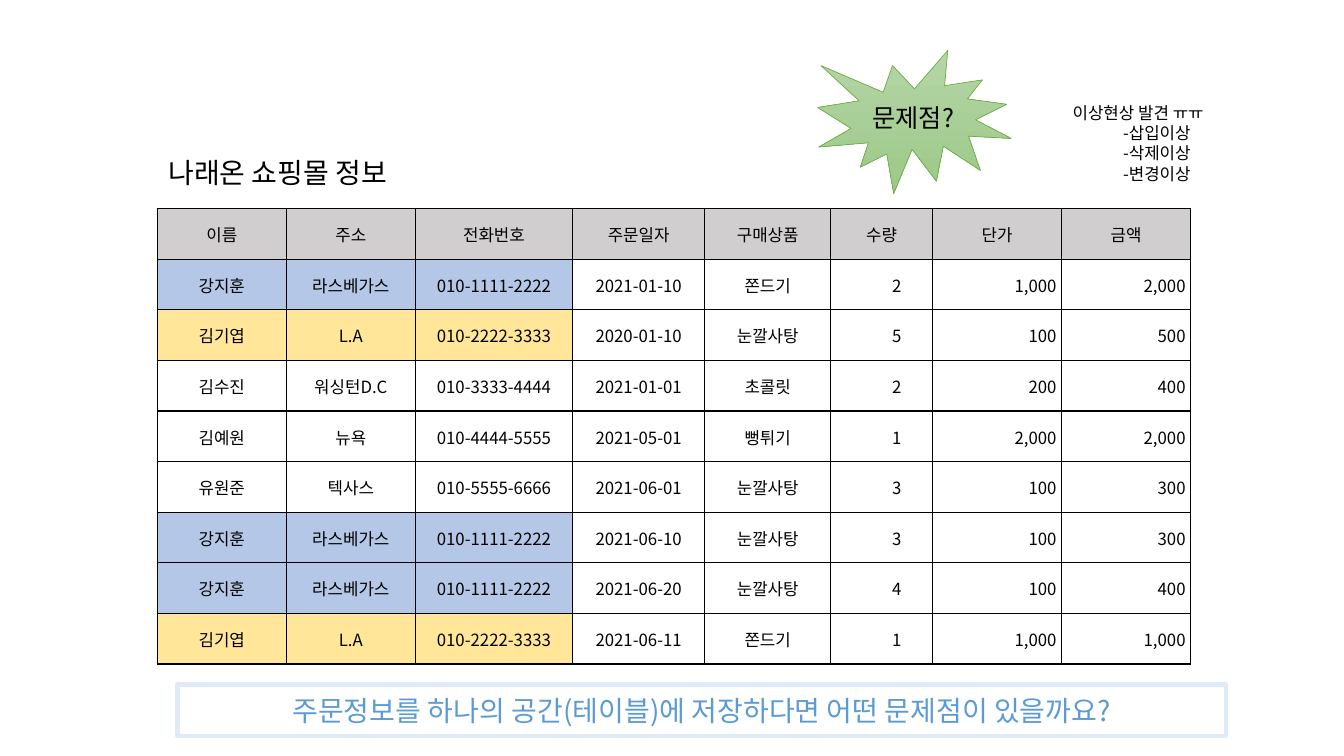
from lxml.etree import SubElement
from pptx import Presentation
from pptx.dml.color import RGBColor
from pptx.enum.shapes import MSO_SHAPE
from pptx.enum.text import MSO_ANCHOR, MSO_AUTO_SIZE, PP_ALIGN
from pptx.oxml.ns import qn
from pptx.util import Inches, Pt

TITLE = "나래온 쇼핑몰 정보"
PROBLEM = "문제점?"
QUESTION = "주문정보를 하나의 공간(테이블)에 저장하다면 어떤 문제점이 있을까요?"
ANOMALY_HEADING = "이상현상 발견 ㅠㅠ"
ANOMALIES = ["-삽입이상", "-삭제이상", "-변경이상"]

HEADER = ["이름", "주소", "전화번호", "주문일자", "구매상품", "수량", "단가", "금액"]
CUSTOMERS = {
    "강지훈": ("라스베가스", "010-1111-2222"),
    "김기엽": ("L.A", "010-2222-3333"),
    "김수진": ("워싱턴D.C", "010-3333-4444"),
    "김예원": ("뉴욕", "010-4444-5555"),
    "유원준": ("텍사스", "010-5555-6666"),
}
# customer, order date, product, quantity, unit price
ORDERS = [
    ("강지훈", "2021-01-10", "쫀드기", 2, 1000),
    ("김기엽", "2020-01-10", "눈깔사탕", 5, 100),
    ("김수진", "2021-01-01", "초콜릿", 2, 200),
    ("김예원", "2021-05-01", "뻥튀기", 1, 2000),
    ("유원준", "2021-06-01", "눈깔사탕", 3, 100),
    ("강지훈", "2021-06-10", "눈깔사탕", 3, 100),
    ("강지훈", "2021-06-20", "눈깔사탕", 4, 100),
    ("김기엽", "2021-06-11", "쫀드기", 1, 1000),
]

FONT = "Noto Sans CJK KR"
COLORS = {
    "text": "000000", "grid": "000000", "header": "D0CECE",
    "강지훈": "B4C7E7", "김기엽": "FFE699",
    "burst top": "B5D5A7", "burst bottom": "9CC987", "burst line": "70AD47",
    "question": "5B9BD5", "question line": "DEEBF7",
}

# Inches: left, top, width, height
TITLE_BOX = (1.44, 1.49, 2.63, 0.44)
BURST_BOX = (8.11, 0.5, 1.92, 1.42)
QUESTION_BOX = (1.76, 6.79, 10.4, 0.51)
ANOMALY_BOX = (10.54, 0.97, 2.13, 0.91)
TABLE_BOX = (1.56, 2.07, 10.25, 4.52)
COLUMN_WIDTHS = [1.28, 1.28, 1.56, 1.31, 1.25, 1.01, 1.28, 1.28]
CUSTOMER_COLUMNS = 3
RIGHT_MARGINS = {5: 0.31, 6: 0.05, 7: 0.05}  # number columns


def color(name):
    return RGBColor.from_string(COLORS[name])


def inches(box):
    return [Inches(length) for length in box]


def write(paragraph, text, size, align=PP_ALIGN.LEFT, ink="text"):
    paragraph.alignment = align
    run = paragraph.add_run()
    run.text = text
    run.font.size = Pt(size)
    run.font.name = FONT
    run.font.bold = False
    run.font.color.rgb = color(ink)
    SubElement(run.font._element, qn("a:ea"), typeface=FONT)


def add_border(cell):
    """Put a thin line on all four sides; must run before the cell is filled."""
    properties = cell._tc.get_or_add_tcPr()
    for side in ("a:lnL", "a:lnR", "a:lnT", "a:lnB"):
        line = SubElement(properties, qn(side), w=str(Pt(1)))
        fill = SubElement(line, qn("a:solidFill"))
        SubElement(fill, qn("a:srgbClr"), val=COLORS["grid"])


def fill_cell(cell, text, fill, right_margin=None):
    add_border(cell)
    if fill in COLORS:
        cell.fill.solid()
        cell.fill.fore_color.rgb = color(fill)
    else:
        cell.fill.background()
    cell.margin_left = cell.margin_top = Inches(0.01)
    cell.margin_right = Inches(right_margin or 0.01)
    cell.margin_bottom = 0
    cell.vertical_anchor = MSO_ANCHOR.MIDDLE
    align = PP_ALIGN.RIGHT if right_margin else PP_ALIGN.CENTER
    write(cell.text_frame.paragraphs[0], text, 12, align)


def add_order_table(slide):
    rows, columns = len(ORDERS) + 1, len(HEADER)
    table = slide.shapes.add_table(rows, columns, *inches(TABLE_BOX)).table
    table.first_row = table.horz_banding = False
    for column, width in zip(table.columns, COLUMN_WIDTHS):
        column.width = Inches(width)
    for column, label in enumerate(HEADER):
        fill_cell(table.cell(0, column), label, "header")
    for row, (name, date, product, quantity, price) in enumerate(ORDERS, 1):
        values = [name, *CUSTOMERS[name], date, product,
                  str(quantity), f"{price:,}", f"{quantity * price:,}"]
        for column, value in enumerate(values):
            fill = name if column < CUSTOMER_COLUMNS else None
            fill_cell(table.cell(row, column), value, fill, RIGHT_MARGINS.get(column))


def add_label_shape(slide, kind, box, line, width, text, size, ink="text"):
    shape = slide.shapes.add_shape(kind, *inches(box))
    shape.shadow.inherit = False
    shape.fill.background()
    shape.line.color.rgb = color(line)
    shape.line.width = Pt(width)
    shape.text_frame.vertical_anchor = MSO_ANCHOR.MIDDLE
    write(shape.text_frame.paragraphs[0], text, size, PP_ALIGN.CENTER, ink)
    return shape


def main():
    deck = Presentation()
    deck.slide_width, deck.slide_height = Inches(13.33), Inches(7.5)
    slide = deck.slides.add_slide(deck.slide_layouts[5])

    title = slide.shapes.title
    title.left, title.top, title.width, title.height = inches(TITLE_BOX)
    title.text_frame.word_wrap = False
    title.text_frame.auto_size = MSO_AUTO_SIZE.NONE
    write(title.text_frame.paragraphs[0], TITLE, 20, PP_ALIGN.CENTER)

    add_order_table(slide)

    burst = add_label_shape(slide, MSO_SHAPE.EXPLOSION1, BURST_BOX,
                            "burst line", 0.5, PROBLEM, 18)
    burst.fill.gradient()
    burst.fill.gradient_angle = 270
    for stop, name in zip(burst.fill.gradient_stops, ("burst top", "burst bottom")):
        stop.color.rgb = color(name)

    add_label_shape(slide, MSO_SHAPE.RECTANGLE, QUESTION_BOX,
                    "question line", 3, QUESTION, 20, "question")

    anomalies = slide.shapes.add_textbox(*inches(ANOMALY_BOX)).text_frame
    anomalies.word_wrap = True
    write(anomalies.paragraphs[0], ANOMALY_HEADING, 12)
    for anomaly in ANOMALIES:
        paragraph = anomalies.add_paragraph()
        paragraph.level = 1
        write(paragraph, anomaly, 12)

    deck.save("out.pptx")


if __name__ == "__main__":
    main()
